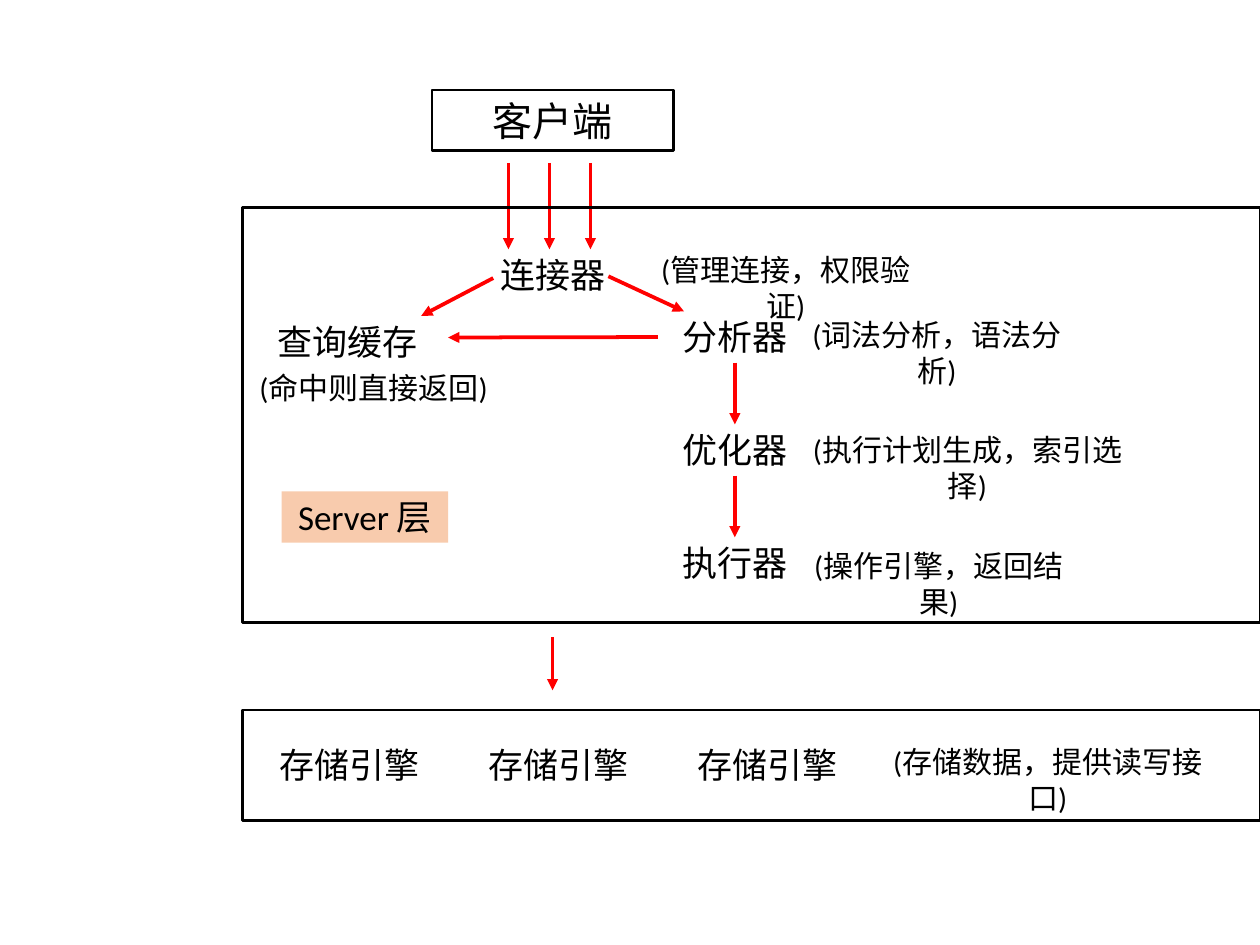
from dataclasses import dataclass

from lxml import etree
from pptx import Presentation
from pptx.dml.color import RGBColor
from pptx.enum import shapes, text
from pptx.oxml import ns
from pptx.util import Inches, Pt


@dataclass(frozen=True)
class Theme:
    font: str = "Calibri"
    ink: RGBColor = RGBColor(0, 0, 0)
    flow: RGBColor = RGBColor(0xFF, 0, 0)
    badge: RGBColor = RGBColor(0xF8, 0xCB, 0xAD)
    client_size: int = 32
    label_size: int = 28
    note_size: int = 24
    border: float = 2.25
    arrow: float = 3


THEME = Theme()
LABEL_HEIGHT = 0.57
NOTE_HEIGHT = 0.5


def write(shape, words, size, grow=True):
    frame = shape.text_frame
    frame.word_wrap = True
    if grow:
        frame.auto_size = text.MSO_AUTO_SIZE.SHAPE_TO_FIT_TEXT
        frame.vertical_anchor = text.MSO_ANCHOR.TOP
    else:
        frame.vertical_anchor = text.MSO_ANCHOR.MIDDLE
    frame.text = words
    paragraph = frame.paragraphs[0]
    paragraph.alignment = text.PP_ALIGN.CENTER
    font = paragraph.runs[0].font
    font.name, font.size, font.color.rgb = THEME.font, Pt(size), THEME.ink


def add_text(slide, x, y, width, height, words, size):
    box = slide.shapes.add_textbox(Inches(x), Inches(y), Inches(width), Inches(height))
    write(box, words, size)
    return box


def add_label(slide, x, y, width, words):
    return add_text(slide, x, y, width, LABEL_HEIGHT, words, THEME.label_size)


def add_note(slide, x, y, width, words):
    return add_text(slide, x, y, width, NOTE_HEIGHT, words, THEME.note_size)


def add_box(slide, x, y, width, height, fill=None):
    """Add an outlined rectangle, or a filled one without outline."""
    box = slide.shapes.add_shape(shapes.MSO_SHAPE.RECTANGLE, Inches(x), Inches(y),
                                 Inches(width), Inches(height))
    box.shadow.inherit = False
    if fill is None:
        box.fill.background()
        box.line.color.rgb = THEME.ink
        box.line.width = Pt(THEME.border)
    else:
        box.fill.solid()
        box.fill.fore_color.rgb = fill
        box.line.fill.background()
    return box


def add_arrow(slide, x1, y1, x2, y2):
    arrow = slide.shapes.add_connector(shapes.MSO_CONNECTOR.STRAIGHT, Inches(x1),
                                       Inches(y1), Inches(x2), Inches(y2))
    arrow.line.color.rgb = THEME.flow
    arrow.line.width = Pt(THEME.arrow)
    etree.SubElement(arrow.line._get_or_add_ln(), ns.qn("a:tailEnd"), type="triangle")
    etree.SubElement(arrow._element.spPr, ns.qn("a:effectLst"))
    return arrow


def build_client(slide, x, y, width, height):
    client = add_box(slide, x, y, width, height)
    write(client, "客户端", THEME.client_size, grow=False)
    for i in range(3):
        request_x = x + 0.85 + i * 0.455
        add_arrow(slide, request_x, y + 0.81, request_x, y + 1.77)


def build_server(slide, x, y, width, height):
    add_box(slide, x, y, width, height)

    add_label(slide, x + 2.58, y + 0.46, 1.74, "连接器")
    add_note(slide, x + 4.36, y + 0.43, 3.36, "(管理连接，权限验证)")

    add_label(slide, x + 0.25, y + 1.2, 1.85, "查询缓存")
    add_note(slide, x, y + 1.75, 2.92, "(命中则直接返回)")

    stages = [
        ("分析器", "(词法分析，语法分析)", 6.04, 3.36),
        ("优化器", "(执行计划生成，索引选择)", 6.06, 4),
        ("执行器", "(操作引擎，返回结果)", 6.06, 3.36),
    ]
    labels = []
    for i, (name, duty, note_x, note_width) in enumerate(stages):
        labels.append(add_label(slide, x + 4.62, y + 1.15 + i * 1.255, 1.71, name))
        add_note(slide, x + note_x, y + 1.16 + i * 1.28, note_width, duty)
    for upper, lower in zip(labels, labels[1:]):
        step = add_arrow(slide, 0, 0, 0, 0)
        step.begin_connect(upper, 2)
        step.end_connect(lower, 0)

    add_arrow(slide, x + 2.79, y + 0.78, x + 1.99, y + 1.2)
    add_arrow(slide, x + 4.07, y + 0.76, x + 4.91, y + 1.15)
    cache_lookup = add_arrow(slide, x + 4.62, y + 1.44, x + 2.29, y + 1.44)
    cache_lookup.begin_connect(labels[0], 1)

    badge = add_box(slide, x + 0.44, y + 3.15, 1.85, LABEL_HEIGHT, THEME.badge)
    write(badge, "Server 层", THEME.label_size)

    add_arrow(slide, x + 3.45, y + height + 0.16, x + 3.45, y + height + 0.75)


def build_storage(slide, x, y, width, height):
    add_box(slide, x, y, width, height)
    for i in range(3):
        add_label(slide, x + 0.27 + i * 2.32, y + 0.32, 1.85, "存储引擎")
    add_note(slide, x + 6.95, y + 0.32, 4, "(存储数据，提供读写接口)")


def main():
    deck = Presentation()
    deck.slide_width, deck.slide_height = Inches(14), Inches(10.5)
    slide = deck.slides.add_slide(deck.slide_layouts[6])
    build_client(slide, 4.8, 1, 2.68, 0.67)
    build_server(slide, 2.69, 2.31, 11.31, 4.61)
    build_storage(slide, 2.69, 7.89, 11.31, 1.23)
    deck.save("out.pptx")


if __name__ == "__main__":
    main()
